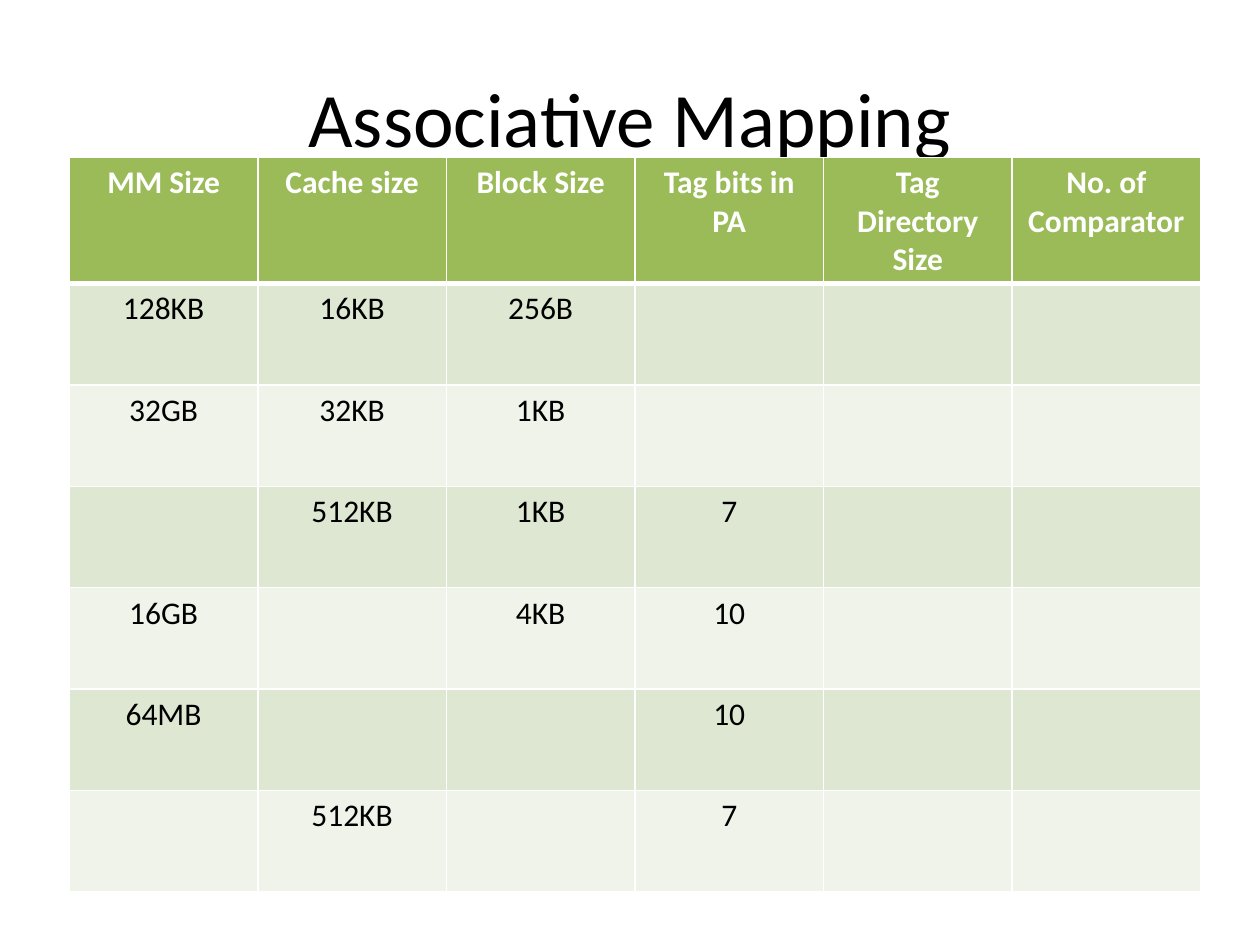
from lxml import etree
from pptx import Presentation
from pptx.dml.color import RGBColor
from pptx.enum.text import MSO_ANCHOR, PP_ALIGN
from pptx.oxml.ns import qn
from pptx.util import Inches, Pt

CENTER = PP_ALIGN.CENTER
MIDDLE = MSO_ANCHOR.MIDDLE
FONT = "Calibri"
BLACK, WHITE = "000000", "FFFFFF"
HEADER_FILL = "9BBB59"
BAND_FILLS = ("DEE7D1", "EFF3EA")
HEADER_HEIGHT = Inches(0.99)

ROWS = [
    ["MM Size", "Cache size", "Block Size", "Tag bits in PA",
     "Tag Directory Size", "No. of Comparator"],
    ["128KB", "16KB", "256B", "", "", ""],
    ["32GB", "32KB", "1KB", "", "", ""],
    ["", "512KB", "1KB", "7", "", ""],
    ["16GB", "", "4KB", "10", "", ""],
    ["64MB", "", "", "10", "", ""],
    ["", "512KB", "", "7", "", ""],
]


def color(hex_string):
    return RGBColor.from_string(hex_string)


def style_paragraph(paragraph, size, hex_string, bold=False):
    paragraph.alignment = CENTER
    font = paragraph.font
    font.name, font.size, font.bold = FONT, Pt(size), bold
    font.color.rgb = color(hex_string)


def add_title(page, left, top, width, height):
    box = page.shapes.add_textbox(left, top, width, height)
    frame = box.text_frame
    frame.word_wrap = True
    frame.vertical_anchor = MIDDLE
    frame.text = "Associative Mapping"
    style_paragraph(frame.paragraphs[0], 44, BLACK)


def set_borders(cell, widths):
    properties = cell._tc.get_or_add_tcPr()
    for side, width in widths.items():
        line = etree.SubElement(properties, qn(f"a:ln{side}"), w=str(Pt(width)))
        fill = etree.SubElement(line, qn("a:solidFill"))
        etree.SubElement(fill, qn("a:srgbClr"), val=WHITE)


def add_mapping_table(page, left, top, width, height):
    row_count, column_count = len(ROWS), len(ROWS[0])
    table = page.shapes.add_table(
        row_count, column_count, left, top, width, height).table
    for column in table.columns:
        column.width = width // column_count
    for row_index, texts in enumerate(ROWS):
        is_header = row_index == 0
        table.rows[row_index].height = (
            HEADER_HEIGHT if is_header
            else (height - HEADER_HEIGHT) // (row_count - 1))
        borders = {"L": 1, "R": 1, "T": 3 if row_index == 1 else 1,
                   "B": 3 if is_header else 1}
        for column_index, text in enumerate(texts):
            cell = table.cell(row_index, column_index)
            set_borders(cell, borders)
            cell.fill.solid()
            cell.fill.fore_color.rgb = color(
                HEADER_FILL if is_header else BAND_FILLS[(row_index - 1) % 2])
            cell.text = text
            style_paragraph(cell.text_frame.paragraphs[0], 18,
                            WHITE if is_header else BLACK, is_header)


def main():
    deck = Presentation()
    deck.slide_width, deck.slide_height = Inches(10), Inches(7.5)
    page = deck.slides.add_slide(deck.slide_layouts[6])
    add_title(page, Inches(0.5), Inches(0.3), Inches(9), Inches(1.25))
    add_mapping_table(page, Inches(0.55), Inches(1.25), Inches(8.98), Inches(5.82))
    deck.save("out.pptx")


if __name__ == "__main__":
    main()
